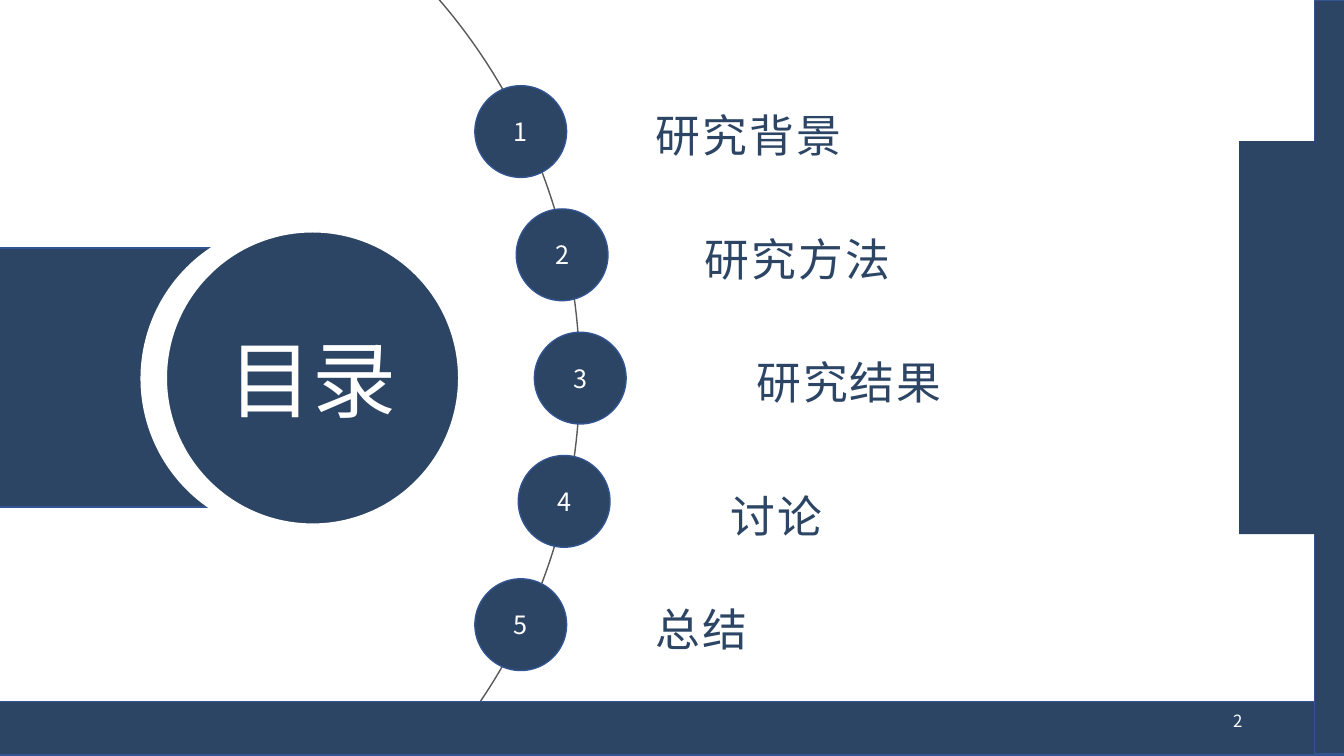
from dataclasses import dataclass

from lxml import etree
from pptx import Presentation
from pptx.dml.color import RGBColor
from pptx.enum.shapes import MSO_SHAPE
from pptx.enum.text import MSO_ANCHOR, PP_ALIGN
from pptx.oxml.ns import qn
from pptx.shapes.autoshape import Shape
from pptx.slide import Slide
from pptx.util import Inches, Pt

OVAL, RECTANGLE = MSO_SHAPE.OVAL, MSO_SHAPE.RECTANGLE
TOP, MIDDLE = MSO_ANCHOR.TOP, MSO_ANCHOR.MIDDLE
LEFT, CENTER, RIGHT = PP_ALIGN.LEFT, PP_ALIGN.CENTER, PP_ALIGN.RIGHT

SLIDE_WIDTH, SLIDE_HEIGHT = Inches(13.33), Inches(7.5)
GRID_ROWS = 75
CELL = SLIDE_HEIGHT / GRID_ROWS  # square cells: columns are as wide as rows are high
BLANK_LAYOUT = 6


@dataclass(frozen=True)
class Theme:
    navy: str = "2C4564"
    edge: str = "325491"
    white: str = "FFFFFF"
    gray: str = "595959"
    cjk_font: str = "Noto Sans CJK SC"
    label_font: str = "Arial"
    title_size: float = 60
    label_size: float = 32
    number_size: float = 18
    page_size: float = 12
    label_spacing: float = 1.5
    line_width: float = 1


THEME = Theme()


@dataclass(frozen=True)
class Area:
    """A place on the grid, in columns and rows."""
    column: float
    row: float
    columns: float
    rows: float

    def emu(self) -> tuple[int, ...]:
        return tuple(round(n * CELL) for n in (self.column, self.row, self.columns, self.rows))


@dataclass(frozen=True)
class Panel:
    geometry: MSO_SHAPE
    area: Area
    fill: str
    line: str | None


@dataclass(frozen=True)
class TextStyle:
    size: float
    color: str
    font: str = THEME.cjk_font
    align: PP_ALIGN = CENTER
    anchor: MSO_ANCHOR = MIDDLE
    spacing: float = 0
    side_inset: float = 1
    top_inset: float = 0.5


@dataclass(frozen=True)
class Chapter:
    title: str
    badge_column: float
    label_column: float
    label_row: float


TITLE_STYLE = TextStyle(THEME.title_size, THEME.white)
NUMBER_STYLE = TextStyle(THEME.number_size, THEME.white)
PAGE_STYLE = TextStyle(THEME.page_size, THEME.white, align=RIGHT)
LABEL_STYLE = TextStyle(THEME.label_size, THEME.navy, THEME.label_font, LEFT, TOP,
                        THEME.label_spacing, side_inset=0.8, top_inset=0)

BACKDROP = (
    Panel(OVAL, Area(-57.2, -19.9, 114.7, 114.7), THEME.white, THEME.gray),
    Panel(RECTANGLE, Area(-36.7, 24.6, 61.6, 25.7), THEME.navy, THEME.edge),
    Panel(OVAL, Area(14, 22, 31.1, 31.1), THEME.white, THEME.white),
)
TITLE_DISC = Panel(OVAL, Area(16.5, 23, 29, 29), THEME.navy, THEME.white)
FRAME = (
    Panel(RECTANGLE, Area(-36.7, 69.6, 170.1, 5.3), THEME.navy, THEME.edge),
    Panel(RECTANGLE, Area(130.4, 0, 3.1, 74.8), THEME.navy, THEME.edge),
    Panel(RECTANGLE, Area(122.9, 14, 9.1, 39), THEME.navy, None),
)
CHAPTERS = (
    Chapter("研究背景", 47.1, 64.2, 10.7),
    Chapter("研究方法", 51.2, 69.1, 23),
    Chapter("研究结果", 53, 74.2, 35.2),
    Chapter("讨论", 51.4, 71.7, 48.5),
    Chapter("总结", 47.1, 64.2, 59.7),
)
BADGE_SIZE, FIRST_BADGE_ROW, BADGE_STEP = 9.1, 8.5, 12.23
LABEL_COLUMNS, LABEL_ROWS = 38.6, 4.5
PAGE_NUMBER_AREA = Area(94.2, 69.5, 30, 4)


def write(shape: Shape, text: str, style: TextStyle) -> None:
    frame = shape.text_frame
    frame.word_wrap = True
    frame.vertical_anchor = style.anchor
    frame.margin_left = frame.margin_right = round(style.side_inset * CELL)
    frame.margin_top = frame.margin_bottom = round(style.top_inset * CELL)
    paragraph = frame.paragraphs[0]
    paragraph.alignment = style.align
    run = paragraph.add_run()
    run.text = text
    run.font.size = Pt(style.size)
    run.font.name = style.font
    run.font.color.rgb = RGBColor.from_string(style.color)
    properties = run.font._element
    etree.SubElement(properties, qn("a:ea")).set("typeface", style.font)
    if style.spacing:
        properties.set("spc", str(round(style.spacing * 100)))


def draw_panel(slide: Slide, panel: Panel) -> Shape:
    shape = slide.shapes.add_shape(panel.geometry, *panel.area.emu())
    shape.shadow.inherit = False
    shape.fill.solid()
    shape.fill.fore_color.rgb = RGBColor.from_string(panel.fill)
    if panel.line is None:
        shape.line.fill.background()
    else:
        shape.line.color.rgb = RGBColor.from_string(panel.line)
        shape.line.width = Pt(THEME.line_width)
    return shape


def draw_text(slide: Slide, area: Area, text: str, style: TextStyle) -> None:
    write(slide.shapes.add_textbox(*area.emu()), text, style)


def draw_badge(slide: Slide, number: int, chapter: Chapter) -> None:
    row = FIRST_BADGE_ROW + (number - 1) * BADGE_STEP
    area = Area(chapter.badge_column, row, BADGE_SIZE, BADGE_SIZE)
    badge = draw_panel(slide, Panel(OVAL, area, THEME.navy, THEME.edge))
    write(badge, str(number), NUMBER_STYLE)


def draw_label(slide: Slide, chapter: Chapter) -> None:
    area = Area(chapter.label_column, chapter.label_row, LABEL_COLUMNS, LABEL_ROWS)
    draw_text(slide, area, chapter.title, LABEL_STYLE)


def main() -> None:
    deck = Presentation()
    deck.slide_width, deck.slide_height = SLIDE_WIDTH, SLIDE_HEIGHT
    slide = deck.slides.add_slide(deck.slide_layouts[BLANK_LAYOUT])

    for panel in BACKDROP:
        draw_panel(slide, panel)
    write(draw_panel(slide, TITLE_DISC), "目录", TITLE_STYLE)
    for number, chapter in enumerate(CHAPTERS, start=1):
        draw_badge(slide, number, chapter)
    for panel in FRAME:
        draw_panel(slide, panel)
    for chapter in CHAPTERS:
        draw_label(slide, chapter)
    draw_text(slide, PAGE_NUMBER_AREA, "2", PAGE_STYLE)

    deck.save("out.pptx")


if __name__ == "__main__":
    main()
